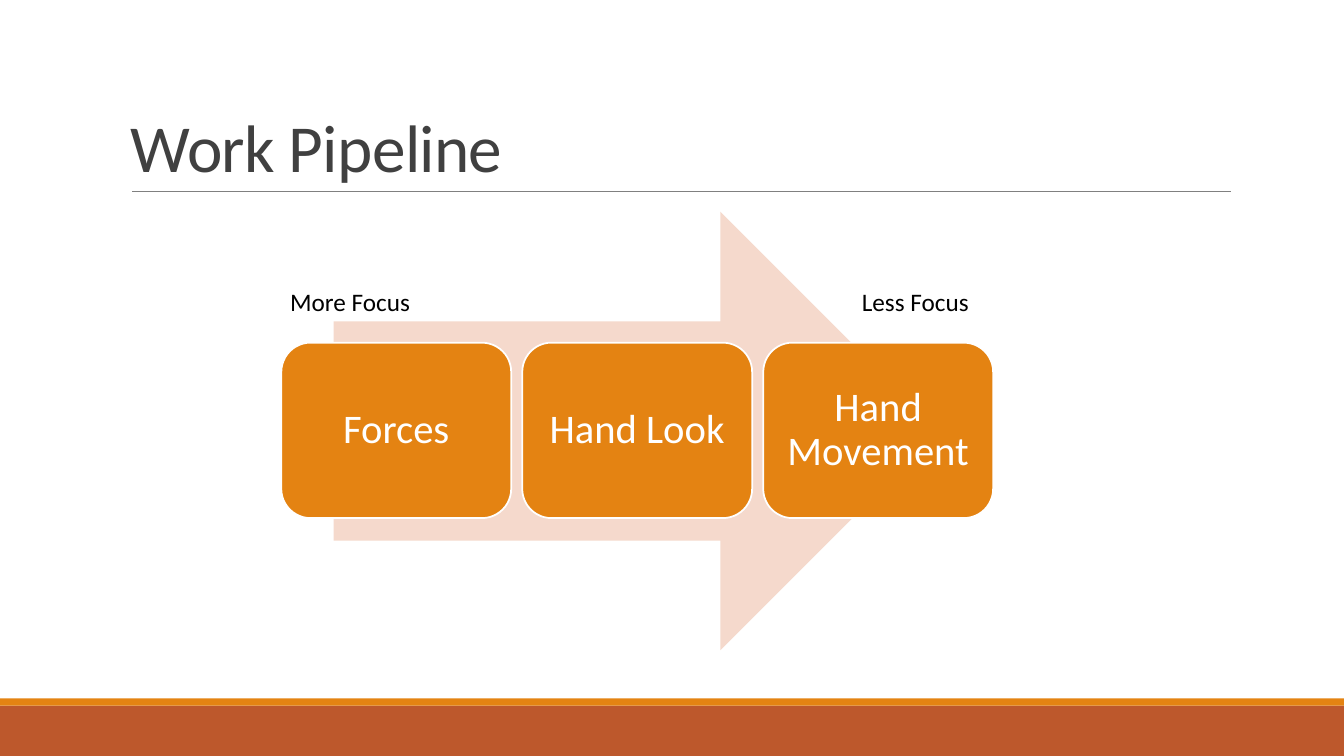
from dataclasses import dataclass

from lxml import etree
from pptx import Presentation
from pptx.dml.color import RGBColor as RGB
from pptx.enum.shapes import MSO_CONNECTOR, MSO_SHAPE as SHAPE
from pptx.enum.text import MSO_ANCHOR as ANCHOR, PP_ALIGN as ALIGN
from pptx.oxml.ns import qn
from pptx.util import Inches, Pt


@dataclass(frozen=True)
class Theme:
    font: str = "Calibri"
    orange: RGB = RGB(0xE4, 0x83, 0x12)
    rust: RGB = RGB(0xBD, 0x58, 0x2C)
    blush: RGB = RGB(0xF5, 0xD9, 0xCC)
    gray: RGB = RGB(0x80, 0x80, 0x80)
    dark: RGB = RGB(0x40, 0x40, 0x40)
    black: RGB = RGB(0, 0, 0)
    white: RGB = RGB(0xFF, 0xFF, 0xFF)
    title: Pt = Pt(48)
    step: Pt = Pt(29)
    label: Pt = Pt(18)


T = Theme()


def add_block(kind, x, y, w, h, color):
    sp = s.shapes.add_shape(kind, Inches(x), Inches(y), Inches(w), Inches(h))
    sp.shadow.inherit = False
    sp.fill.solid()
    sp.fill.fore_color.rgb = color
    sp.line.fill.background()
    return sp


def write(sp, text, size, color):
    p = sp.text_frame.paragraphs[0]
    p.text = text
    p.font.name, p.font.size, p.font.color.rgb = T.font, size, color
    return p


prs = Presentation()
prs.slide_width, prs.slide_height = Inches(13.33), Inches(7.5)
s = prs.slides.add_slide(prs.slide_layouts[6])

add_block(SHAPE.RECTANGLE, 0, 7, 13.33, 0.5, T.rust)
add_block(SHAPE.RECTANGLE, 0, 6.93, 13.33, 0.07, T.orange)

rule = s.shapes.add_connector(
    MSO_CONNECTOR.STRAIGHT, Inches(1.31), Inches(1.9), Inches(12.21), Inches(1.9)
)
rule.line.color.rgb, rule.line.width = T.gray, Pt(0.5)
etree.SubElement(rule._element.spPr, qn("a:effectLst"))

title = s.shapes.add_textbox(Inches(1.2), Inches(0.31), Inches(11), Inches(1.59))
title.text_frame.word_wrap = True
title.text_frame.vertical_anchor = ANCHOR.BOTTOM
p = write(title, "Work Pipeline", T.title, T.dark)
p.line_spacing = 0.85
p.runs[0]._r.get_or_add_rPr().set("spc", "-50")

add_block(SHAPE.RIGHT_ARROW, 3.31, 2.1, 6.01, 4.35, T.blush)

for i, step in enumerate(["Forces", "Hand Look", "Hand Movement"]):
    sp = add_block(SHAPE.ROUNDED_RECTANGLE, 2.79 + i * 2.39, 3.4, 2.28, 1.74, T.orange)
    sp.line.color.rgb, sp.line.width = T.white, Pt(1.25)
    tf = sp.text_frame
    tf.word_wrap = True
    tf.vertical_anchor = ANCHOR.MIDDLE
    tf.margin_left = tf.margin_right = tf.margin_top = tf.margin_bottom = Inches(0.12)
    p = write(sp, step, T.step, T.white)
    p.alignment, p.line_spacing = ALIGN.CENTER, 0.9

for x, w, label in [(2.78, 1.4, "More Focus"), (8.45, 1.27, "Less Focus")]:
    sp = s.shapes.add_textbox(Inches(x), Inches(2.79), Inches(w), Inches(0.4))
    sp.text_frame.word_wrap = False
    write(sp, label, T.label, T.black)

prs.save("out.pptx")
